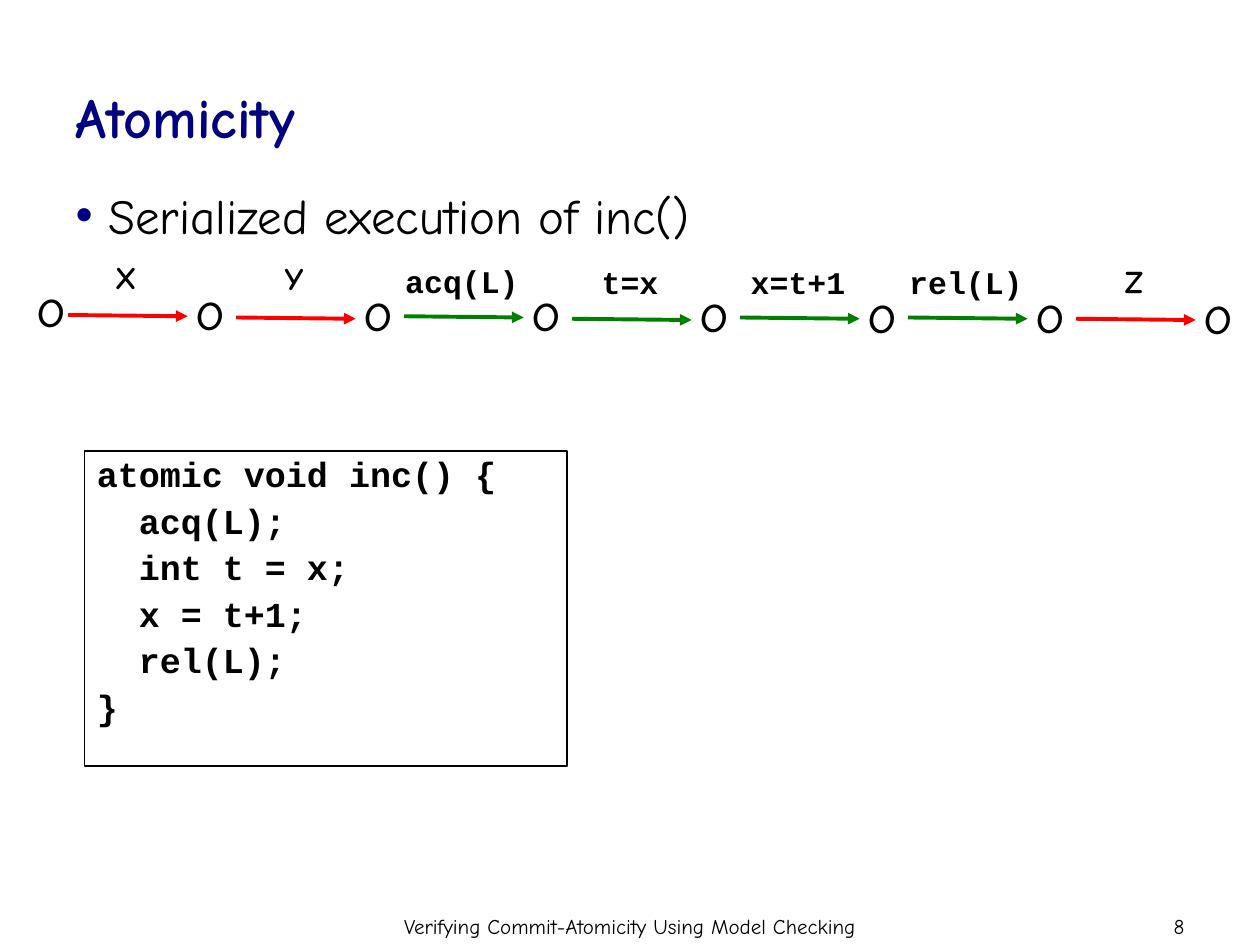
from typing import NamedTuple

from lxml import etree
from pptx import Presentation, util as u
from pptx.dml.color import RGBColor
from pptx.enum import shapes, text
from pptx.oxml.ns import qn

WIDE, HIGH = 10, 7.5
COL = WIDE * 2 / 15
HAND, MONO = "Comic Neue", "Courier New"
RED, GREEN, NAVY, BLACK = "FF0000", "008000", "000080", "000000"
LEFT, MID, RIGHT = text.PP_ALIGN.LEFT, text.PP_ALIGN.CENTER, text.PP_ALIGN.RIGHT
CODE = """atomic void inc() {
  acq(L);
  int t = x;
  x = t+1;
  rel(L);
}"""


class Box(NamedTuple):
    left: float
    top: float
    width: float
    height: float


class Step(NamedTuple):
    name: str
    font: str
    color: str
    top: float
    line: float


STEPS = [
    Step("X", HAND, RED, 2, 2.5),
    Step("Y", HAND, RED, 2.01, 2.52),
    Step("acq(L)", MONO, GREEN, 2.03, 2.51),
    Step("t=x", MONO, GREEN, 2.04, 2.53),
    Step("x=t+1", MONO, GREEN, 2.04, 2.52),
    Step("rel(L)", MONO, GREEN, 2.04, 2.52),
    Step("Z", HAND, RED, 2.03, 2.53),
]


def paint(color: str) -> RGBColor:
    """Turn a hex string into a colour."""
    return RGBColor.from_string(color)


def place(shape, box: Box) -> None:
    """Move and size a shape in inches."""
    shape.left, shape.top, shape.width, shape.height = map(u.Inches, box)


def style(frame, words: str, size: int, font: str = HAND, color: str = BLACK,
          bold: bool = False, align=LEFT) -> None:
    """Fill a text frame and format every run."""
    frame.text = words
    frame.auto_size = text.MSO_AUTO_SIZE.NONE
    for para in frame.paragraphs:
        para.alignment = align
        para.space_before = u.Pt(0)
        for run in para.runs:
            run.font.size, run.font.name, run.font.bold = u.Pt(size), font, bold
            run.font.color.rgb = paint(color)


def label(slide, box: Box, words: str, size: int, **look) -> None:
    """Add a plain text box."""
    shape = slide.shapes.add_textbox(*map(u.Inches, box))
    style(shape.text_frame, words, size, **look)
    shape.text_frame.word_wrap = True


def arrow(slide, left: float, top: float, color: str) -> None:
    """Draw one slightly sloped transition arrow."""
    ends = left, top, left + 0.95, top + 0.01
    line = slide.shapes.add_connector(shapes.MSO_CONNECTOR.STRAIGHT, *map(u.Inches, ends))
    line.line.color.rgb = paint(color)
    line.line.width = u.Pt(2.25)
    etree.SubElement(line.line._get_or_add_ln(), qn("a:tailEnd"), type="triangle")
    etree.SubElement(line._element.spPr, qn("a:effectLst"))


def state(slide, mid: float, row: int) -> None:
    """Draw one state of the run."""
    label(slide, Box(mid - 0.25, 2.13 + row * 0.005, 0.5, 0.64), "o", 32, align=MID)


def bullet(para) -> None:
    """Give a paragraph a navy hanging bullet."""
    props = para._p.get_or_add_pPr()
    props.set("marL", str(u.Inches(0.26)))
    props.set("indent", str(-u.Inches(0.26)))
    tint = etree.SubElement(props, qn("a:buClr"))
    etree.SubElement(tint, qn("a:srgbClr"), val=NAVY)
    etree.SubElement(props, qn("a:buChar"), char="•")


def code(slide) -> None:
    """Draw the framed listing."""
    shape = slide.shapes.add_shape(shapes.MSO_SHAPE.RECTANGLE, 0, 0, 0, 0)
    place(shape, Box(0.67, 3.58, 3.83, 2.5))
    shape.shadow.inherit = False
    shape.fill.background()
    shape.line.color.rgb = paint(BLACK)
    shape.line.width = u.Pt(0.75)
    frame = shape.text_frame
    style(frame, CODE, 20, MONO, bold=True)
    frame.vertical_anchor = text.MSO_ANCHOR.TOP
    for para in frame.paragraphs:
        para.line_spacing = 0.9
    for para in frame.paragraphs[1:]:
        para.space_before = u.Pt(5)


def main() -> None:
    """Build the slide and save it."""
    deck = Presentation()
    deck.slide_width, deck.slide_height = u.Inches(WIDE), u.Inches(HIGH)
    slide = deck.slides.add_slide(deck.slide_layouts[1])
    title, body = slide.placeholders
    place(title, Box(0.5, 0.3, 9, 1.25))
    style(title.text_frame, "Atomicity", 32, color=NAVY, bold=True)
    title.text_frame.vertical_anchor = text.MSO_ANCHOR.MIDDLE
    place(body, Box(0.5, 1.42, 9, 4.95))
    style(body.text_frame, "Serialized execution of inc()", 28)
    bullet(body.text_frame.paragraphs[0])

    state(slide, 0.41, -4)
    for row, step in enumerate(STEPS):
        left = row * COL
        label(slide, Box(left + 0.4, step.top, 1.2, 0.4), step.name, 18,
              font=step.font, bold=True, align=MID)
        arrow(slide, left + 0.54, step.line, step.color)
        state(slide, left + 1.67, row)
    code(slide)

    label(slide, Box(2, 7.2, 6, 0.3), "Verifying Commit-Atomicity Using Model Checking", 12, align=MID)
    label(slide, Box(7.17, 7.2, 2.33, 0.3), "8", 12, align=RIGHT)
    deck.save("out.pptx")


if __name__ == "__main__":
    main()
